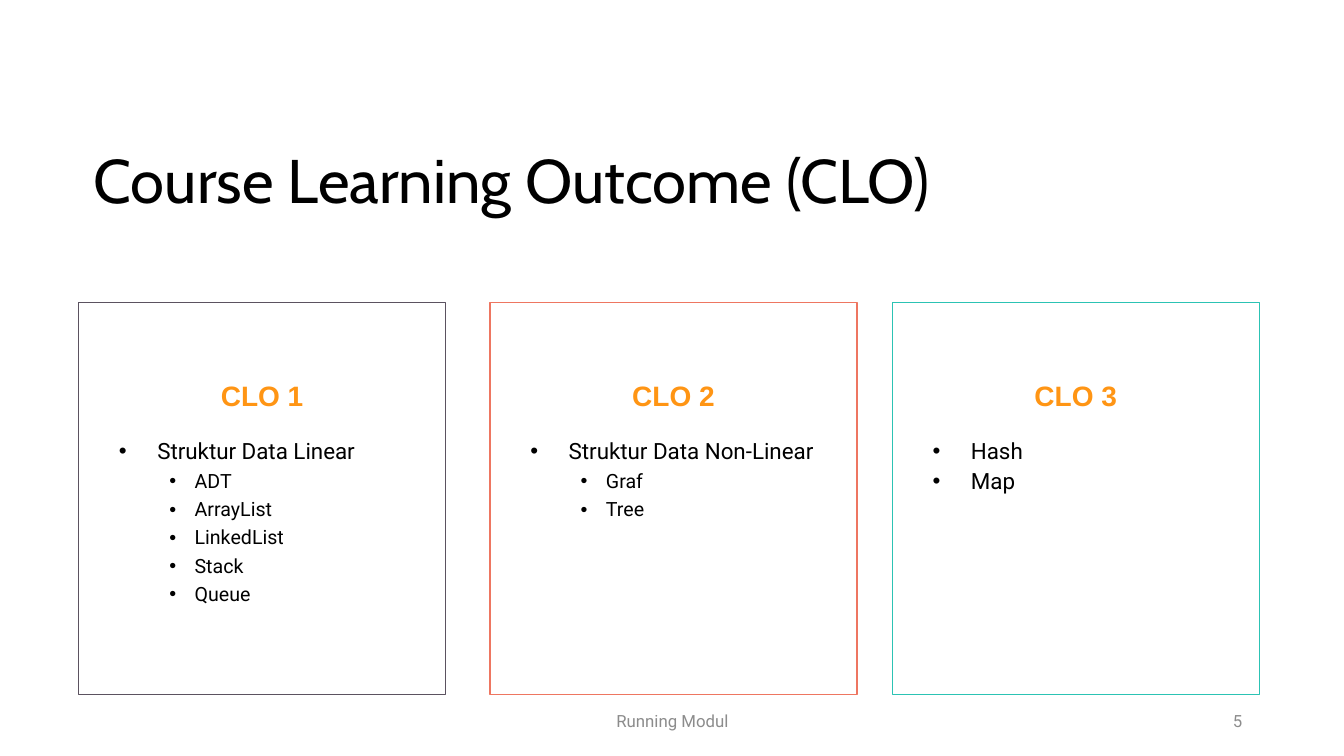
from dataclasses import dataclass

from pptx import Presentation
from pptx import util as u
from pptx.dml.color import RGBColor
from pptx.enum import shapes, text
from pptx.oxml.ns import qn
from lxml import etree

PX = 9144


@dataclass(frozen=True)
class Theme:
    ink: str = "000000"
    muted: str = "8C8C8C"
    accent: str = "FF9514"
    title_font: str = "Cabin"
    heading_font: str = "Arial"
    body_font: str = "Roboto"
    title_size: int = 44
    heading_size: int = 20
    topic_size: int = 16
    detail_size: int = 14
    footer_size: int = 12


THEME = Theme()
CARD_TOP, CARD_WIDTH, CARD_HEIGHT = 300, 364, 389
LIST_INSET, LIST_TOP, LIST_WIDTH, LIST_HEIGHT = 30, 432, 312, 241

OUTCOMES = [
    ("CLO 1", 78, "5B5260", [
        ("Struktur Data Linear", 0), ("ADT", 1), ("ArrayList", 1),
        ("LinkedList", 1), ("Stack", 1), ("Queue", 1)]),
    ("CLO 2", 486, "EE7661", [
        ("Struktur Data Non-Linear", 0), ("Graf", 1), ("Tree", 1)]),
    ("CLO 3", 885, "2CC3B4", [("Hash", 0), ("Map", 0)]),
]


def px(*lengths):
    return [u.Emu(length * PX) for length in lengths]


def place(box, left, top, width, height):
    box.left, box.top, box.width, box.height = px(left, top, width, height)


def set_frame(box, anchor):
    frame = box.text_frame
    frame.word_wrap = True
    frame.auto_size = text.MSO_AUTO_SIZE.NONE
    frame.vertical_anchor = anchor
    return frame


def write(para, words, *, font, size, color, bold=False, align=text.PP_ALIGN.LEFT):
    para.alignment = align
    span = para.add_run()
    span.text = words
    span.font.name = font
    span.font.size = u.Pt(size)
    span.font.bold = bold
    span.font.color.rgb = RGBColor.from_string(color)


def add_bullet(para, margin, hanging):
    properties = para._p.get_or_add_pPr()
    properties.set("marL", str(margin * PX))
    properties.set("indent", str(-hanging * PX))
    etree.SubElement(properties, qn("a:buFont")).set("typeface", "Arial")
    etree.SubElement(properties, qn("a:buChar")).set("char", "•")


def fill_title(box, words):
    place(box, 83, 135, 1167, 84)
    frame = set_frame(box, text.MSO_ANCHOR.MIDDLE)
    write(frame.paragraphs[0], words, font=THEME.title_font,
          size=THEME.title_size, color=THEME.ink)


def add_card(page, heading, left, color):
    card = page.shapes.add_shape(shapes.MSO_SHAPE.RECTANGLE,
                                 *px(left, CARD_TOP, CARD_WIDTH, CARD_HEIGHT))
    card.shadow.inherit = False
    card.fill.background()
    card.line.color.rgb = RGBColor.from_string(color)
    card.line.width = u.Pt(1)
    frame = set_frame(card, text.MSO_ANCHOR.TOP)
    frame.margin_top = px(75)[0]
    write(frame.paragraphs[0], heading, font=THEME.heading_font,
          size=THEME.heading_size, color=THEME.accent, bold=True,
          align=text.PP_ALIGN.CENTER)


def fill_list(box, card_left, items):
    place(box, card_left + LIST_INSET, LIST_TOP, LIST_WIDTH, LIST_HEIGHT)
    frame = set_frame(box, text.MSO_ANCHOR.TOP)
    for index, (words, level) in enumerate(items):
        para = frame.add_paragraph() if index else frame.paragraphs[0]
        para.level = level
        add_bullet(para, *((75, 25) if level else (38, 38)))
        para.line_spacing = 0.9
        para.space_before = u.Pt((5 if level else 3.6) if index else 0)
        write(para, words, font=THEME.body_font, color=THEME.ink,
              size=THEME.detail_size if level else THEME.topic_size)


def add_footer(page, words, left, width, align):
    box = page.shapes.add_textbox(*px(left, 695, width, 40))
    frame = set_frame(box, text.MSO_ANCHOR.MIDDLE)
    write(frame.paragraphs[0], words, font=THEME.body_font,
          size=THEME.footer_size, color=THEME.muted, align=align)


def main():
    deck = Presentation()
    deck.slide_width, deck.slide_height = u.Inches(13.33), u.Inches(7.5)
    page = deck.slides.add_slide(deck.slide_layouts.get_by_name("Comparison"))
    title, *bodies = page.placeholders
    fill_title(title, "Course Learning Outcome (CLO)")
    for body, (heading, left, color, items) in zip(bodies, OUTCOMES):
        add_card(page, heading, left, color)
        fill_list(body, left, items)
    for unused in bodies[len(OUTCOMES):]:
        unused.element.getparent().remove(unused.element)
    add_footer(page, "Running Modul", 442, 450, text.PP_ALIGN.CENTER)
    add_footer(page, "5", 942, 300, text.PP_ALIGN.RIGHT)
    deck.save("out.pptx")


if __name__ == "__main__":
    main()
